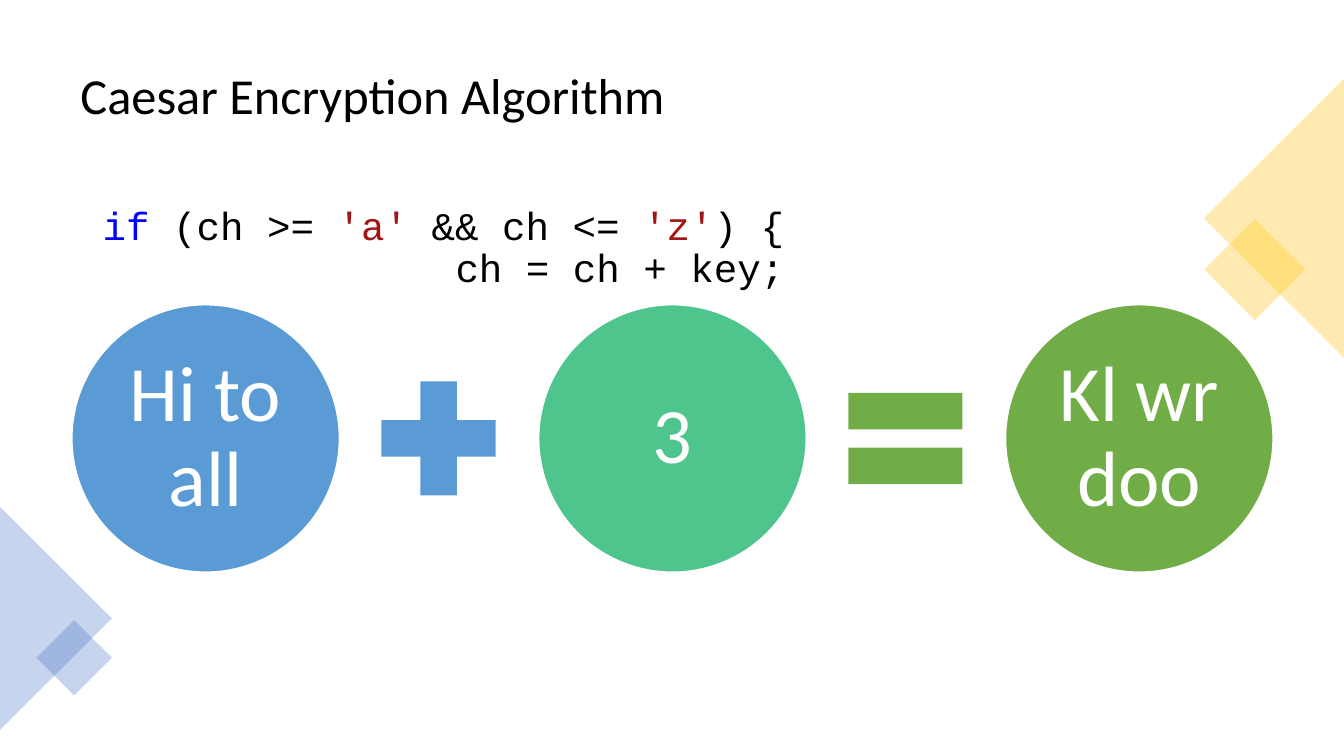
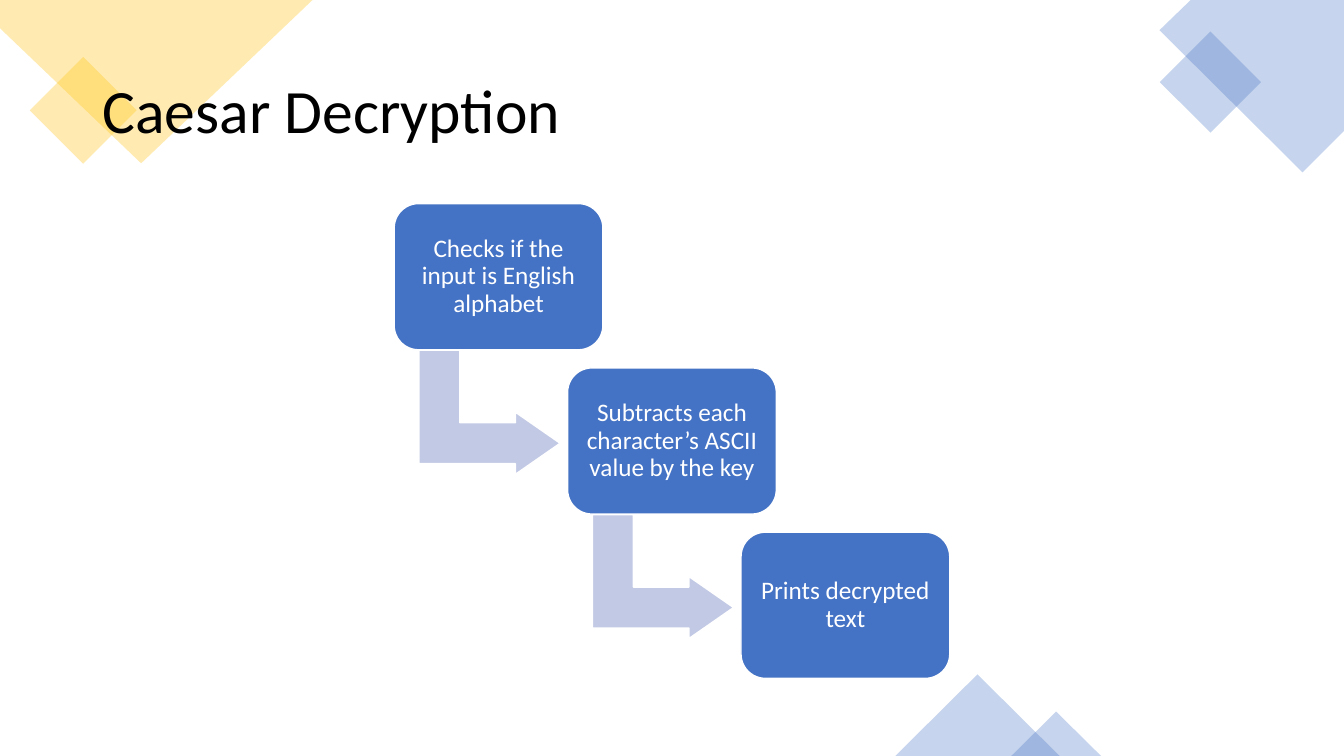
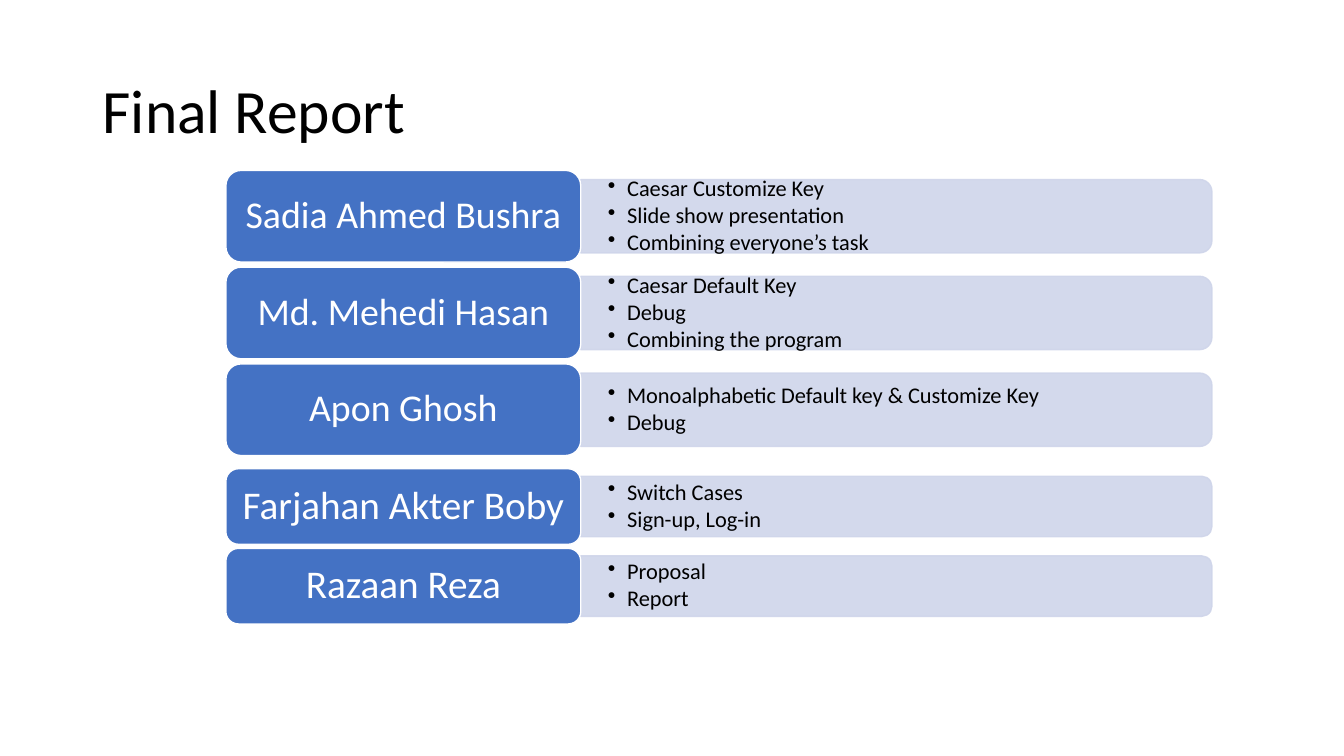
from dataclasses import dataclass

from pptx import Presentation
from pptx.dml.color import RGBColor
from pptx.enum.shapes import MSO_SHAPE
from pptx.enum.text import MSO_ANCHOR, PP_ALIGN
from pptx.oxml.ns import qn
from pptx.oxml.xmlchemy import OxmlElement
from pptx.shapes.autoshape import Shape
from pptx.slide import Slide
from pptx.util import Inches, Pt

RECT = MSO_SHAPE.RECTANGLE
ROUND = MSO_SHAPE.ROUNDED_RECTANGLE
ROUND_TOP = MSO_SHAPE.ROUND_2_SAME_RECTANGLE
OVAL = MSO_SHAPE.OVAL
TRIANGLE = MSO_SHAPE.ISOSCELES_TRIANGLE
BENT_ARROW = MSO_SHAPE.BENT_UP_ARROW
PLUS = MSO_SHAPE.MATH_PLUS
EQUAL = MSO_SHAPE.MATH_EQUAL
MIDDLE, TOP = MSO_ANCHOR.MIDDLE, MSO_ANCHOR.TOP
LEFT, CENTER = PP_ALIGN.LEFT, PP_ALIGN.CENTER


@dataclass(frozen=True)
class Theme:
    font: str = "Calibri"
    code_font: str = "Courier New"
    black: str = "000000"
    white: str = "FFFFFF"
    blue: str = "4472C4"
    gold: str = "FFC000"
    sky: str = "5B9BD5"
    mint: str = "4DC58D"
    green: str = "70AD47"
    arrow: str = "C1C9E4"
    panel: str = "CFD5EA"
    keyword: str = "0000FF"
    literal: str = "A31515"
    title: int = 44
    small_title: int = 36
    code: int = 28
    circle: int = 56
    step: int = 18
    bullet: int = 16
    spacing: float = 0.9
    ornament_alpha: int = 30
    panel_alpha: int = 90


T = Theme()


@dataclass(frozen=True)
class Box:
    x: float
    y: float
    w: float
    h: float


@dataclass(frozen=True)
class Ornament:
    kind: MSO_SHAPE
    box: Box
    color: str
    rotation: int = 0


@dataclass(frozen=True)
class Outline:
    points: tuple[tuple[float, float], ...]
    color: str


@dataclass(frozen=True)
class Member:
    name: str
    tasks: tuple[str, ...]


@dataclass(frozen=True)
class Team:
    top: float
    pitch: float
    height: float
    name_size: int
    members: tuple[Member, ...]


TITLE_BOX = Box(0.92, 0.4, 11.5, 1.45)

ENCRYPTION_ORNAMENTS = (
    Ornament(RECT, Box(12.09, 2.32, 0.71, 0.71), T.gold, 45),
    Ornament(TRIANGLE, Box(11.25, 1.47, 2.77, 1.39), T.gold, 270),
    Ornament(TRIANGLE, Box(-0.55, 5.58, 2.21, 1.11), T.blue, 90),
    Ornament(RECT, Box(0.47, 6.26, 0.53, 0.53), T.blue, 45),
)
DECRYPTION_ORNAMENTS = (
    Ornament(RECT, Box(0.45, 0.72, 0.75, 0.75), T.gold, 45),
    Outline(((0, 0), (3.1, 0), (1.4, 1.62), (0, 0.28)), T.gold),
    Outline(((11.81, 0), (13.33, 0), (13.33, 1.3), (12.92, 1.71), (11.5, 0.3)), T.blue),
    Ornament(RECT, Box(11.65, 0.46, 0.71, 0.71), T.blue, 45),
    Ornament(TRIANGLE, Box(8.88, 6.69, 1.63, 0.81), T.blue),
    Ornament(TRIANGLE, Box(10.03, 7.06, 0.89, 0.44), T.blue),
)
CODE = (
    ("if", T.keyword), (" (ch >= ", T.black), ("'a'", T.literal),
    (" && ch <= ", T.black), ("'z'", T.literal), (") {", T.black),
)
CIRCLES = (("Hi to all", T.sky), ("3", T.mint), ("Kl wr doo", T.green))
OPERATORS = ((PLUS, T.sky), (EQUAL, T.green))
STEPS = (
    "Checks if the input is English alphabet",
    "Subtracts each character’s ASCII value by the key",
    "Prints decrypted text",
)
TEAMS = (
    Team(1.69, 0.96, 0.91, 27, (
        Member("Sadia Ahmed Bushra", (
            "Caesar Customize Key", "Slide show presentation", "Combining everyone’s task")),
        Member("Md. Mehedi Hasan", ("Caesar Default Key", "Debug", "Combining the program")),
        Member("Apon Ghosh", ("Monoalphabetic Default key & Customize Key", "Debug")),
    )),
    Team(4.65, 0.79, 0.75, 28, (
        Member("Farjahan Akter Boby", ("Switch Cases", "Sign-up, Log-in")),
        Member("Razaan Reza", ("Proposal", "Report")),
    )),
)


def lengths(box: Box) -> tuple[int, int, int, int]:
    return Inches(box.x), Inches(box.y), Inches(box.w), Inches(box.h)


def paint(sp: Shape, fill: str, line: str | None = None, width: float = 1,
          alpha: int = 100) -> None:
    sp.shadow.inherit = False
    sp.fill.solid()
    sp.fill.fore_color.rgb = RGBColor.from_string(fill)
    if line:
        sp.line.color.rgb = RGBColor.from_string(line)
        sp.line.width = Pt(width)
    else:
        sp.line.fill.background()
    if alpha < 100:
        for color in sp._element.spPr.iter(qn("a:srgbClr")):
            node = OxmlElement("a:alpha")
            node.set("val", str(alpha * 1000))
            color.append(node)


def add_shape(s: Slide, kind: MSO_SHAPE, box: Box, fill: str, line: str | None = None,
              width: float = 1, alpha: int = 100, rotation: int = 0) -> Shape:
    sp = s.shapes.add_shape(kind, *lengths(box))
    sp.rotation = rotation
    paint(sp, fill, line, width, alpha)
    return sp


def write(sp: Shape, lines: tuple[str, ...], size: int, color: str, align: PP_ALIGN = LEFT,
          inset: tuple[float, float] = (0.1, 0.05), font: str = T.font,
          anchor: MSO_ANCHOR = MIDDLE) -> None:
    """Fill a shape with one paragraph per line; inset is horizontal, vertical."""
    tf = sp.text_frame
    tf.word_wrap = True
    tf.vertical_anchor = anchor
    tf.margin_left = tf.margin_right = Inches(inset[0])
    tf.margin_top = tf.margin_bottom = Inches(inset[1])
    tf.text = "\n".join(lines)
    for p in tf.paragraphs:
        p.alignment = align
        p.line_spacing = T.spacing
        p.font.name = font
        p.font.size = Pt(size)
        p.font.color.rgb = RGBColor.from_string(color)


def add_title(s: Slide, text: str, box: Box = TITLE_BOX, size: int = T.title) -> None:
    write(s.shapes.add_textbox(*lengths(box)), (text,), size, T.black)


def add_ornaments(s: Slide, ornaments: tuple[Ornament | Outline, ...]) -> None:
    for o in ornaments:
        if isinstance(o, Outline):
            start, *rest = [(Inches(x), Inches(y)) for x, y in o.points]
            builder = s.shapes.build_freeform(*start)
            builder.add_line_segments(rest, close=True)
            paint(builder.convert_to_shape(), o.color, alpha=T.ornament_alpha)
        else:
            add_shape(s, o.kind, o.box, o.color, alpha=T.ornament_alpha, rotation=o.rotation)


def add_code(s: Slide) -> None:
    sp = s.shapes.add_textbox(*lengths(Box(0.92, 2, 11.5, 1)))
    write(sp, ("", "ch = ch + key;"), T.code, T.black, font=T.code_font, anchor=TOP)
    condition, body = sp.text_frame.paragraphs
    for text, color in CODE:
        r = condition.add_run()
        r.text = text
        r.font.color.rgb = RGBColor.from_string(color)
    body._p.get_or_add_pPr().set("marL", str(Inches(3.5)))


def add_bullets(sp: Shape) -> None:
    for p in sp.text_frame.paragraphs:
        p.space_after = Pt(2)
        pPr = p._p.get_or_add_pPr()
        pPr.set("marL", str(Inches(0.19)))
        pPr.set("indent", str(Inches(-0.19)))
        bullet = OxmlElement("a:buChar")
        bullet.set("char", "•")
        pPr.insert_element_before(bullet, "a:tabLst", "a:defRPr", "a:extLst")


def add_equation(s: Slide) -> None:
    left, pitch = 0.71, 4.63
    for i, (text, color) in enumerate(CIRCLES):
        sp = add_shape(s, OVAL, Box(left + i * pitch, 3.02, 2.66, 2.66), color, T.white, 1.5)
        write(sp, (text,), T.circle, T.white, CENTER, (0.08, 0.08))
    for i, (kind, color) in enumerate(OPERATORS):
        add_shape(s, kind, Box(left + 2.87 + i * pitch, 3.58, 1.54, 1.54), color)


def add_staircase(s: Slide) -> None:
    for i, text in enumerate(STEPS):
        x, y = 3.91 + i * 1.72, 2.02 + i * 1.63
        if i < len(STEPS) - 1:
            arrow = add_shape(s, BENT_ARROW, Box(x + 0.33, y + 1.37, 1.23, 1.4),
                              T.arrow, T.white, rotation=90)
            for k, value in enumerate((0.33, 0.25, 0.36)):
                arrow.adjustments[k] = value
        step = add_shape(s, ROUND, Box(x, y, 2.07, 1.45), T.blue, T.white)
        write(step, (text,), T.step, T.white, CENTER, (0.07, 0.07))


def add_member(s: Slide, member: Member, team: Team, top: float) -> None:
    split, panel_w, panel_h = 5.76, 6.26, team.height * 0.8
    middle = top + team.height / 2
    # The panel is a top-rounded shape turned on its side, so its sides swap.
    upright = Box(split + (panel_w - panel_h) / 2, middle - panel_w / 2, panel_h, panel_w)
    add_shape(s, ROUND_TOP, upright, T.panel, T.panel, alpha=T.panel_alpha, rotation=90)
    text_h = panel_h * 0.9
    tasks = s.shapes.add_textbox(*lengths(Box(split, middle - text_h / 2, 6.22, text_h)))
    write(tasks, member.tasks, T.bullet, T.black, inset=(0.27, 0.14))
    add_bullets(tasks)
    name = add_shape(s, ROUND, Box(2.24, top, 3.52, team.height), T.blue, T.white)
    write(name, (member.name,), team.name_size, T.white, CENTER, (0.11, 0.06))


def encryption_slide(s: Slide) -> None:
    add_title(s, "Caesar Encryption Algorithm", Box(0.7, 0.35, 11.93, 1.24), T.small_title)
    add_code(s)
    add_ornaments(s, ENCRYPTION_ORNAMENTS)
    add_equation(s)


def decryption_slide(s: Slide) -> None:
    add_ornaments(s, DECRYPTION_ORNAMENTS)
    add_title(s, "Caesar Decryption")
    add_staircase(s)


def report_slide(s: Slide) -> None:
    add_title(s, "Final Report")
    for team in TEAMS:
        for i, member in enumerate(team.members):
            add_member(s, member, team, team.top + i * team.pitch)


def main() -> None:
    prs = Presentation()
    prs.slide_width, prs.slide_height = Inches(13.33), Inches(7.5)
    blank = prs.slide_layouts[6]
    for build in (encryption_slide, decryption_slide, report_slide):
        build(prs.slides.add_slide(blank))
    prs.save("out.pptx")


if __name__ == "__main__":
    main()
